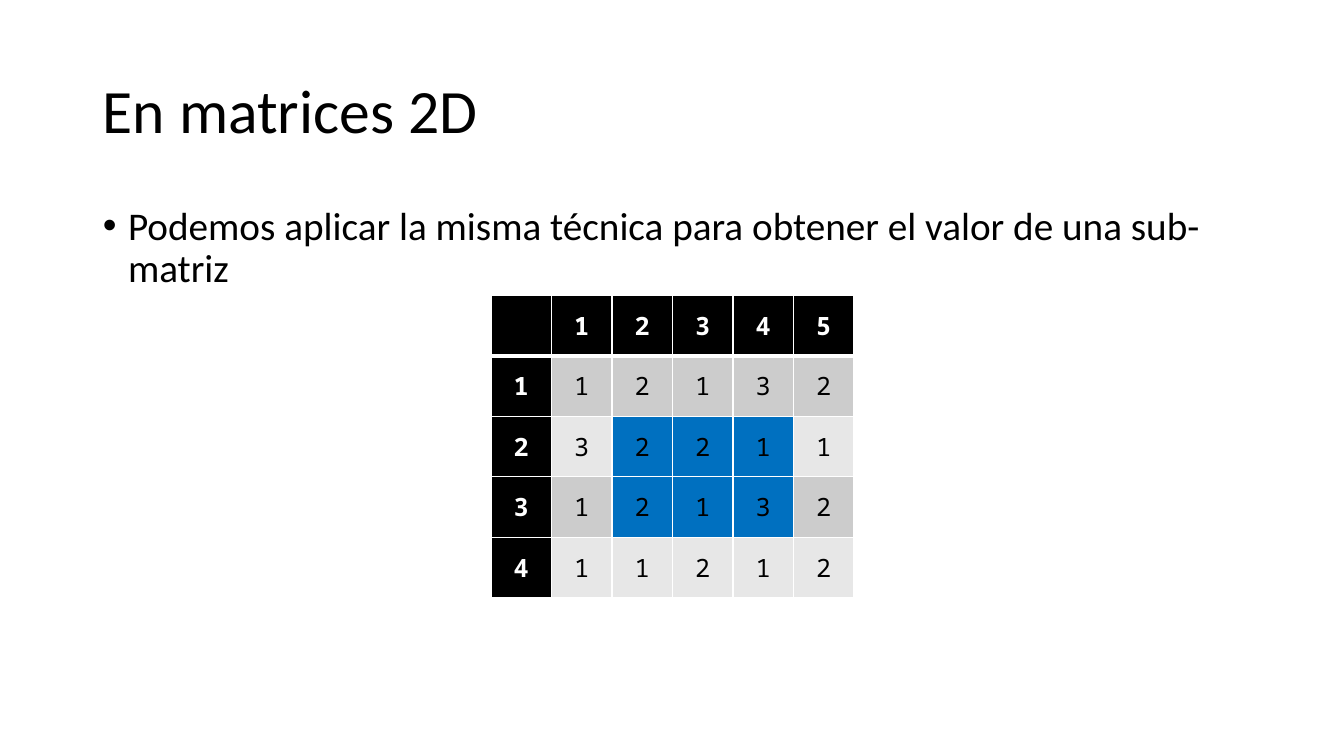
"""Build the slide on sub-matrix values in 2D matrices."""
import pptx
import pptx.dml.color
import pptx.enum.text
import pptx.oxml
import pptx.oxml.ns
import pptx.util

PX = 9144
CELL = 60
MATRIX = [
    ["", "1", "2", "3", "4", "5"],
    ["1", "1", "2", "1", "3", "2"],
    ["2", "3", "2", "2", "1", "1"],
    ["3", "1", "2", "1", "3", "2"],
    ["4", "1", "1", "2", "1", "2"],
]
PP_ALIGN = pptx.enum.text.PP_ALIGN
MIDDLE = pptx.enum.text.MSO_ANCHOR.MIDDLE
TOP = pptx.enum.text.MSO_ANCHOR.TOP


def rgb(value):
    return pptx.dml.color.RGBColor.from_string(value)


def write(p, text, color, align, **font):
    r = p.add_run()
    r.text = text
    p.alignment = align
    r.font.color.rgb = rgb(color)
    for name, value in font.items():
        setattr(r.font, name, value)


prs = pptx.Presentation()
prs.slide_width, prs.slide_height = 1333 * PX, 750 * PX
s = prs.slides.add_slide(prs.slide_layouts[1])

placeholders = [
    (s.shapes.title, (92, 40, 1150, 145), MIDDLE, 44, 0, "En matrices 2D"),
    (s.placeholders[1], (92, 200, 1150, 476), TOP, 28, 10,
     "Podemos aplicar la misma técnica para obtener el valor de una sub-matriz"),
]
for sp, box, anchor, size, before, text in placeholders:
    for name, value in zip(("left", "top", "width", "height"), box):
        setattr(sp, name, value * PX)
    tf = sp.text_frame
    tf.auto_size = pptx.enum.text.MSO_AUTO_SIZE.NONE
    tf.vertical_anchor = anchor
    p = tf.paragraphs[0]
    p.line_spacing = 0.9
    p.space_before = pptx.util.Pt(before)
    write(p, text, "000000", PP_ALIGN.LEFT, size=pptx.util.Pt(size), name="Calibri")

pPr = p._p.get_or_add_pPr()
pPr.set("marL", str(25 * PX))
pPr.set("indent", str(-25 * PX))

rows, cols = len(MATRIX), len(MATRIX[0])
table = s.shapes.add_table(rows, cols, 487 * PX, 293 * PX,
                           cols * CELL * PX, rows * CELL * PX).table
table.first_col = True
for line in [*table.columns]:
    line.width = CELL * PX
for line in [*table.rows]:
    line.height = CELL * PX

for i, row in enumerate(MATRIX):
    for j, text in enumerate(row):
        header = i == 0 or j == 0
        if header:
            fill = "000000"
        elif i in (2, 3) and j in (2, 3, 4):
            fill = "0070C0"
        else:
            fill = "CCCCCC" if i % 2 else "E7E7E7"
        cell = table.cell(i, j)
        cell.vertical_anchor = MIDDLE
        cell.fill.solid()
        cell.fill.fore_color.rgb = rgb(fill)
        if text:
            write(cell.text_frame.paragraphs[0], text,
                  "FFFFFF" if header else "000000", PP_ALIGN.CENTER,
                  size=pptx.util.Pt(18), name="Noto Sans Mono", bold=header)
        widths = {"L": 1, "R": 1, "T": 3 if i == 1 else 1, "B": 3 if i == 0 else 1}
        for k, (side, width) in enumerate(widths.items()):
            border = pptx.oxml.parse_xml(
                f'<a:ln{side} {pptx.oxml.ns.nsdecls("a")} w="{pptx.util.Pt(width)}">'
                '<a:solidFill><a:srgbClr val="FFFFFF"/></a:solidFill>'
                f'</a:ln{side}>')
            cell._tc.get_or_add_tcPr().insert(k, border)

prs.save("out.pptx")
